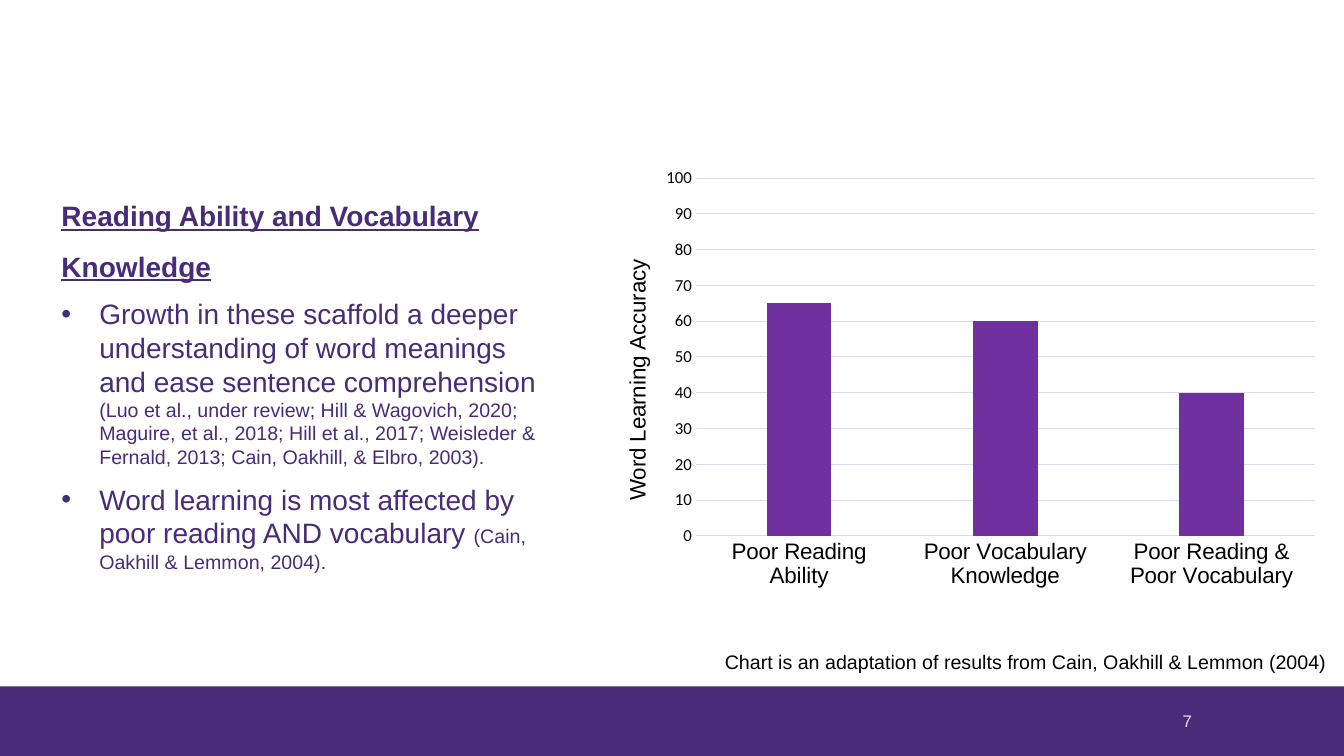
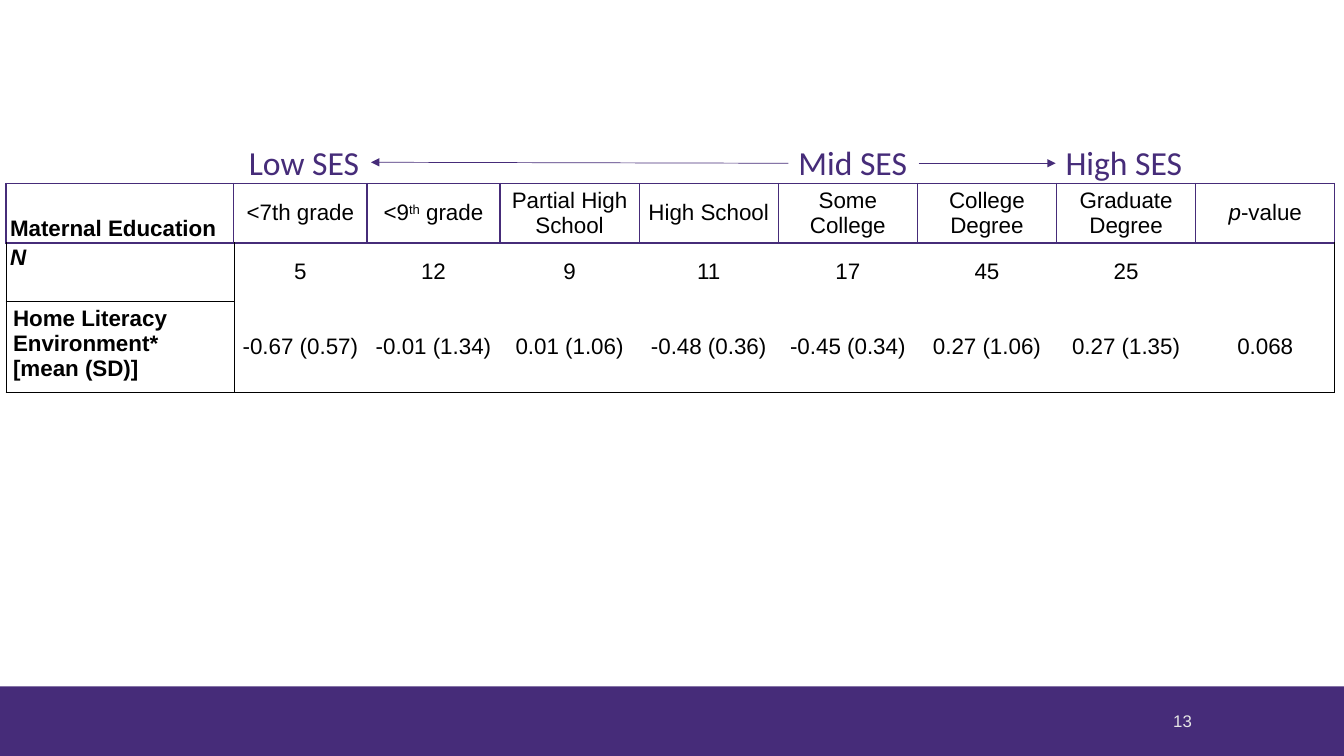
import pptx
import pptx.chart.data
import pptx.dml.color
import pptx.enum.chart
import pptx.enum.shapes
import pptx.enum.text
import pptx.oxml
import pptx.oxml.ns
import pptx.util
from dataclasses import dataclass
from lxml import etree

Inches = pptx.util.Inches
Pt = pptx.util.Pt
qn = pptx.oxml.ns.qn
ALIGN = pptx.enum.text.PP_ALIGN
ANCHOR = pptx.enum.text.MSO_ANCHOR


@dataclass(frozen=True)
class Theme:
    purple: str = "462C79"
    bar: str = "7030A0"
    grid: str = "E1D9F1"
    number: str = "E7E6E6"
    black: str = "000000"
    font: str = "Arial"
    label_font: str = "Calibri"
    small: int = 12
    note: int = 14
    table: int = 16
    body: int = 20
    label: int = 24


THEME = Theme()


def rgb(value):
    return pptx.dml.color.RGBColor.from_string(value)


def style(font, size, color=THEME.black, name=THEME.font, bold=False, italic=False):
    font.size, font.name = Pt(size), name
    font.bold, font.italic = bold, italic
    font.color.rgb = rgb(color)


def add_label(slide, box, text, size, color=THEME.black, name=THEME.font,
              align=ALIGN.LEFT, anchor=ANCHOR.TOP):
    """One line of text in a box (left, top, width, height)."""
    frame = slide.shapes.add_textbox(*map(Inches, box)).text_frame
    frame.word_wrap = False
    frame.vertical_anchor = anchor
    frame.text = text
    frame.paragraphs[0].alignment = align
    style(frame.paragraphs[0].runs[0].font, size, color, name)


# Shared parts
def add_master_band(prs, slide):
    """Draw the bottom band, then hand it to the master so every slide shows it."""
    band = slide.shapes.add_shape(
        pptx.enum.shapes.MSO_SHAPE.RECTANGLE, 0, Inches(6.81), prs.slide_width, Inches(0.69))
    band.shadow.inherit = False
    band.fill.solid()
    band.fill.fore_color.rgb = rgb(THEME.purple)
    band.line.fill.background()
    band.element.nvSpPr.cNvPr.set("id", "20")
    prs.slide_master.element.cSld.spTree.insert(2, band.element)


def add_page_number(slide, number):
    add_label(slide, (8.92, 6.95, 3, 0.4), str(number), THEME.small, THEME.number,
              align=ALIGN.RIGHT, anchor=ANCHOR.MIDDLE)


# Reading ability slide
def fill_findings(body, box, heading, findings):
    """Underlined heading, then bullets that each end in smaller citations."""
    body.left, body.top, body.width, body.height = map(Inches, box)
    frame = body.text_frame
    frame.word_wrap = True
    frame.auto_size = pptx.enum.text.MSO_AUTO_SIZE.NONE
    frame.vertical_anchor = ANCHOR.MIDDLE
    frame.text = heading
    title = frame.paragraphs[0]
    props = title._p.get_or_add_pPr()
    props.set("marL", "0")
    props.set("indent", "0")
    etree.SubElement(props, qn("a:buNone"))
    title.line_spacing = 1.5
    title.space_before = Pt(0)
    style(title.runs[0].font, THEME.body, THEME.purple, bold=True)
    title.runs[0].font.underline = True
    for finding, citation in findings:
        bullet = frame.add_paragraph()
        bullet.space_before = Pt(10)
        for text, size in ((finding, THEME.body), (citation, THEME.note)):
            run = bullet.add_run()
            run.text = text
            style(run.font, size, THEME.purple)


def place(parent, before, **fractions):
    """Insert a manual layout, in fractions of the chart, ahead of a child element."""
    layout = etree.Element(qn("c:layout"))
    manual = etree.SubElement(layout, qn("c:manualLayout"))
    if "w" in fractions:
        etree.SubElement(manual, qn("c:layoutTarget"), val="inner")
    for axis in "xy":
        etree.SubElement(manual, qn(f"c:{axis}Mode"), val="edge")
    for key, value in fractions.items():
        etree.SubElement(manual, qn(f"c:{key}"), val=str(value))
    for old in parent.findall(qn("c:layout")):
        parent.remove(old)
    parent.find(qn(before)).addprevious(layout)


def add_accuracy_chart(slide, box, axis_title, accuracy):
    data = pptx.chart.data.CategoryChartData()
    data.categories = list(accuracy)
    data.add_series(axis_title, list(accuracy.values()))
    chart = slide.shapes.add_chart(
        pptx.enum.chart.XL_CHART_TYPE.COLUMN_CLUSTERED, *map(Inches, box), data).chart
    chart.has_legend = chart.has_title = False
    style(chart.font, 10, THEME.purple, THEME.label_font)

    # Bars
    plot = chart.plots[0]
    plot.vary_by_categories = False
    plot.gap_width, plot.overlap = 219, -27
    bars = plot.series[0].format.fill
    bars.solid()
    bars.fore_color.rgb = rgb(THEME.bar)

    # Axes
    groups, scale = chart.category_axis, chart.value_axis
    for axis in (groups, scale):
        axis.major_tick_mark = axis.minor_tick_mark = pptx.enum.chart.XL_TICK_MARK.NONE
    style(groups.tick_labels.font, THEME.table)
    style(scale.tick_labels.font, THEME.small, name=THEME.label_font)
    scale.minimum_scale, scale.maximum_scale, scale.major_unit = 0, 100, 10
    scale.format.line.fill.background()
    for line in (groups.format.line, scale.major_gridlines.format.line):
        line.color.rgb = rgb(THEME.grid)
        line.width = Pt(0.75)
    scale.axis_title.text_frame.text = axis_title
    style(scale.axis_title.text_frame.paragraphs[0].runs[0].font, THEME.table)

    place(scale.axis_title._element, "c:overlay", x=0.03, y=0.22)
    place(chart._chartSpace.chart.plotArea, "c:barChart", x=0.135, y=0.043, w=0.843, h=0.818)


def build_reading_slide(slide):
    slide.shapes.title.element.getparent().remove(slide.shapes.title.element)
    fill_findings(
        slide.placeholders[1], (0.51, 2.38, 5.08, 2.73),
        "Reading Ability and Vocabulary Knowledge",
        [("Growth in these scaffold a deeper understanding of word meanings and ease "
          "sentence comprehension ",
          "(Luo et al., under review; Hill & Wagovich, 2020; Maguire, et al., 2018; "
          "Hill et al., 2017; Weisleder & Fernald, 2013; Cain, Oakhill, & Elbro, 2003)."),
         ("Word learning is most affected by poor reading AND vocabulary ",
          "(Cain, Oakhill & Lemmon, 2004).")])
    add_accuracy_chart(
        slide, (5.92, 1.58, 7.28, 4.34), "Word Learning Accuracy",
        {"Poor Reading Ability": 65, "Poor Vocabulary Knowledge": 60,
         "Poor Reading & Poor Vocabulary": 40})
    add_label(slide, (7.09, 6.4, 6.25, 0.34),
              "Chart is an adaptation of results from Cain, Oakhill & Lemmon (2004)", THEME.note)


# Maternal education slide
def cell_borders(row, col, last_row, last_col):
    """Purple grid round the header; black round the row names and the table's edge."""
    purple, black = (THEME.purple, 1), (THEME.black, 0.5)
    if row == 0:
        return dict.fromkeys("LRTB", purple)
    return {"L": black if col <= 1 else None,
            "R": black if col in (0, last_col) else None,
            "T": purple if row == 1 else black if col == 0 else None,
            "B": black if col == 0 or row == last_row else None}


def draw_borders(cell, borders):
    props = cell._tc.get_or_add_tcPr()
    for side, border in borders.items():
        line = etree.SubElement(props, qn(f"a:ln{side}"))
        if border is None:
            etree.SubElement(line, qn("a:noFill"))
            continue
        color, width = border
        line.set("w", str(Pt(width)))
        fill = etree.SubElement(line, qn("a:solidFill"))
        etree.SubElement(fill, qn("a:srgbClr"), val=color)


def add_education_table(slide, box, widths, heights, rows):
    """Cells hold a text or a list of (text, look) runs."""
    table = slide.shapes.add_table(len(rows), len(widths), *map(Inches, box)).table
    table.first_row = table.horz_banding = False
    for column, width in zip(table.columns, widths):
        column.width = Inches(width)
    for row, height in zip(table.rows, heights):
        row.height = Inches(height)
    for r, row in enumerate(rows):
        side, edge = (0.07, 0.05) if r == len(rows) - 1 else (0.04, 0.02)
        for c, content in enumerate(row):
            cell = table.cell(r, c)
            draw_borders(cell, cell_borders(r, c, len(rows) - 1, len(widths) - 1))
            cell.fill.background()
            cell.margin_left = cell.margin_right = Inches(side)
            cell.margin_top = cell.margin_bottom = Inches(edge)
            names = ANCHOR.BOTTOM if r == 0 else ANCHOR.TOP
            cell.vertical_anchor = names if c == 0 else ANCHOR.MIDDLE
            paragraph = cell.text_frame.paragraphs[0]
            paragraph.alignment = ALIGN.LEFT if c == 0 else ALIGN.CENTER
            for text, look in [(content, "")] if isinstance(content, str) else content:
                run = paragraph.add_run()
                run.text = text
                style(run.font, THEME.table, bold=c == 0, italic=look == "italic")
                if look == "superscript":
                    run.font._element.set("baseline", "30000")


def add_arrow(slide, start, end):
    arrow = slide.shapes.add_connector(
        pptx.enum.shapes.MSO_CONNECTOR.STRAIGHT, *map(Inches, start + end))
    arrow.line.color.rgb = rgb(THEME.purple)
    arrow.line.width = Pt(0.5)
    etree.SubElement(arrow.line._get_or_add_ln(), qn("a:tailEnd"), type="triangle")
    etree.SubElement(arrow.element.spPr, qn("a:effectLst"))


def add_ses_scale(slide, top):
    """Low, mid and high labels joined by arrows that leave the middle."""
    spans = {"Low SES": (2.37, 3.68), "Mid SES": (7.82, 9.11), "High SES": (10.47, 11.84)}
    for text, (left, right) in spans.items():
        add_label(slide, (left, top, right - left, 0.5), text, THEME.label, THEME.purple,
                  THEME.label_font)
    low, mid, high = spans.values()
    add_arrow(slide, (mid[0], top + 0.26), (low[1], top + 0.25))
    add_arrow(slide, (mid[1], top + 0.26), (high[0], top + 0.26))


def build_education_slide(slide):
    add_education_table(
        slide, (0.06, 1.82, 13.2, 2.08), [2.26] + [1.32] * 2 + [1.38] * 6, [0.59, 0.58, 0.9],
        [["Maternal Education", "<7th grade",
          [("<9", ""), ("th", "superscript"), (" grade", "")],
          "Partial High School", "High School", "Some College", "College Degree",
          "Graduate Degree", [("p", "italic"), ("-value", "")]],
         [[("N", "italic")], "5", "12", "9", "11", "17", "45", "25", ""],
         ["Home Literacy Environment* [mean (SD)]", "-0.67 (0.57)", "-0.01 (1.34)",
          "0.01 (1.06)", "-0.48 (0.36)", "-0.45 (0.34)", "0.27 (1.06)", "0.27 (1.35)",
          "0.068"]])
    add_ses_scale(slide, 1.36)


def main():
    prs = pptx.Presentation()
    prs.slide_width, prs.slide_height = Inches(13.33), Inches(7.5)
    content, blank = prs.slide_layouts[1], prs.slide_layouts[6]
    pages = ((7, content, build_reading_slide), (13, blank, build_education_slide))
    for number, layout, build in pages:
        slide = prs.slides.add_slide(layout)
        build(slide)
        add_page_number(slide, number)
    add_master_band(prs, prs.slides[0])
    prs.save("out.pptx")


if __name__ == "__main__":
    main()
